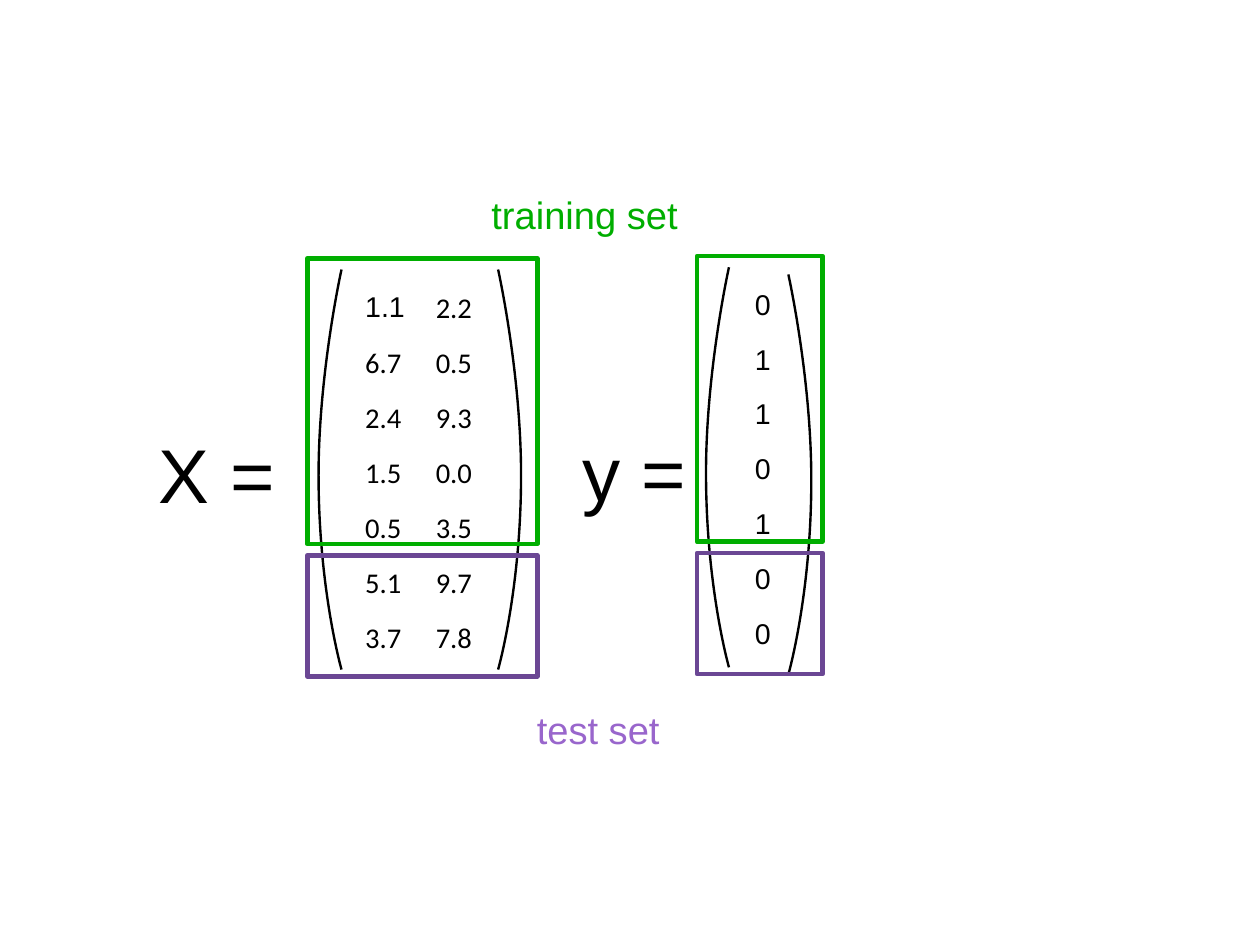
from dataclasses import dataclass

from lxml import etree
from pptx import Presentation
from pptx.dml import color as c
from pptx.enum import shapes, text
from pptx.oxml import ns
from pptx import util as u


@dataclass(frozen=True)
class Theme:
    """Colours, fonts and sizes of the slide."""
    ink: str = "000000"
    train: str = "00AE00"
    test: str = "6B4794"
    test_label: str = "9966CC"
    font: str = "Arial"
    number_font: str = "Calibri"
    symbol_size: int = 48
    label_size: int = 24
    number_size: int = 18
    curve_width: float = 1.5
    frame_width: float = 2.89


THEME = Theme()
ROW = 1.22
ROWS_X = [("1.1", "2.2"), ("6.7", "0.5"), ("2.4", "9.3"), ("1.5", "0.0"),
          ("0.5", "3.5"), ("5.1", "9.7"), ("3.7", "7.8")]
ROWS_Y = [(value,) for value in "0110100"]


def style(p, size, color, font=THEME.font):
    """Format every run of a paragraph."""
    for r in p.runs:
        r.font.size = u.Pt(size)
        r.font.name = font
        r.font.color.rgb = c.RGBColor.from_string(color)


def outline(sp, color, width):
    """Give a shape a plain line without fill or shadow."""
    sp.shadow.inherit = False
    sp.fill.background()
    sp.line.color.rgb = c.RGBColor.from_string(color)
    sp.line.width = u.Pt(width)


def add_label(s, x, y, w, h, words, size, color, wrap=True):
    """Place a text box that fits its text."""
    tf = s.shapes.add_textbox(u.Cm(x), u.Cm(y), u.Cm(w), u.Cm(h)).text_frame
    tf.word_wrap = wrap
    tf.auto_size = text.MSO_AUTO_SIZE.SHAPE_TO_FIT_TEXT
    tf.text = words
    style(tf.paragraphs[0], size, color)


def add_paren(s, x, y, bulge):
    """Draw a tall parenthesis from its top end, bulging sideways."""
    far = x + bulge
    points = [(x, y), (far, y + 2.29), (far, y + 4.57),
              (far, y + 7.11), (x, y + 8.89), (x, y + 8.89)]
    builder = s.shapes.build_freeform(u.Cm(x), u.Cm(y))
    builder.add_line_segments([(u.Cm(px), u.Cm(py)) for px, py in points], close=False)
    sp = builder.convert_to_shape()
    lines = list(sp._element.iter(ns.qn("a:lnTo")))
    for i in range(0, len(lines), 3):
        curve = etree.SubElement(lines[i].getparent(), ns.qn("a:cubicBezTo"))
        for line in lines[i:i + 3]:
            curve.append(line[0])
            line.getparent().remove(line)
    outline(sp, THEME.ink, THEME.curve_width)


def add_numbers(s, x, y, col, rows, fonts):
    """Place a clear table of numbers; fonts gives the first cell's and the others' font."""
    frame = s.shapes.add_table(len(rows), len(rows[0]), u.Cm(x), u.Cm(y),
                               u.Cm(col * len(rows[0])), u.Cm(ROW * len(rows)))
    table = frame.table
    table.first_row = table.horz_banding = False
    for column in table.columns:
        column.width = u.Cm(col)
    for i, row in enumerate(rows):
        table.rows[i].height = u.Cm(ROW)
        for j, value in enumerate(row):
            cell = table.cell(i, j)
            cell.fill.background()
            cell.text = value
            style(cell.text_frame.paragraphs[0], THEME.number_size, THEME.ink,
                  fonts[int(i + j > 0)])


def add_matrix(s, x, y, w, symbol, symbol_w, symbol_dx, rows, fonts, col,
               left, right, right_dy):
    """Place a named matrix split into a training and a test frame."""
    add_label(s, x - symbol_dx, y + 3.63, symbol_w, 2.16, symbol,
              THEME.symbol_size, THEME.ink, wrap=False)
    add_numbers(s, x + 1.03, y + 0.61, col, rows, fonts)
    add_paren(s, x + left, y + 0.25, -0.51)
    add_paren(s, x + right, y + right_dy, 0.51)
    for dy, h, color in ((0, 6.35, THEME.train), (6.6, 2.69, THEME.test)):
        sp = s.shapes.add_shape(shapes.MSO_SHAPE.RECTANGLE, u.Cm(x), u.Cm(y + dy),
                                u.Cm(w), u.Cm(h))
        outline(sp, color, THEME.frame_width)


def main():
    """Build and save the slide."""
    prs = Presentation()
    prs.slide_width, prs.slide_height = u.Cm(28), u.Cm(21)
    s = prs.slides.add_slide(prs.slide_layouts[6])
    add_matrix(s, 6.83, 5.74, 5.11, "X =", 3.56, 3.56, ROWS_X,
               (THEME.font, THEME.number_font), 1.57, 0.76, 4.24, 0.25)
    add_matrix(s, 15.49, 5.69, 2.79, "y =", 3.28, 2.79, ROWS_Y,
               (THEME.font, THEME.font), 0.99, 0.71, 2.03, 0.41)
    add_label(s, 10.67, 4.14, 5.84, 1.19, "training set", THEME.label_size, THEME.train)
    add_label(s, 11.68, 15.57, 5.84, 1.19, "test set", THEME.label_size, THEME.test_label)
    prs.save("out.pptx")


if __name__ == "__main__":
    main()
